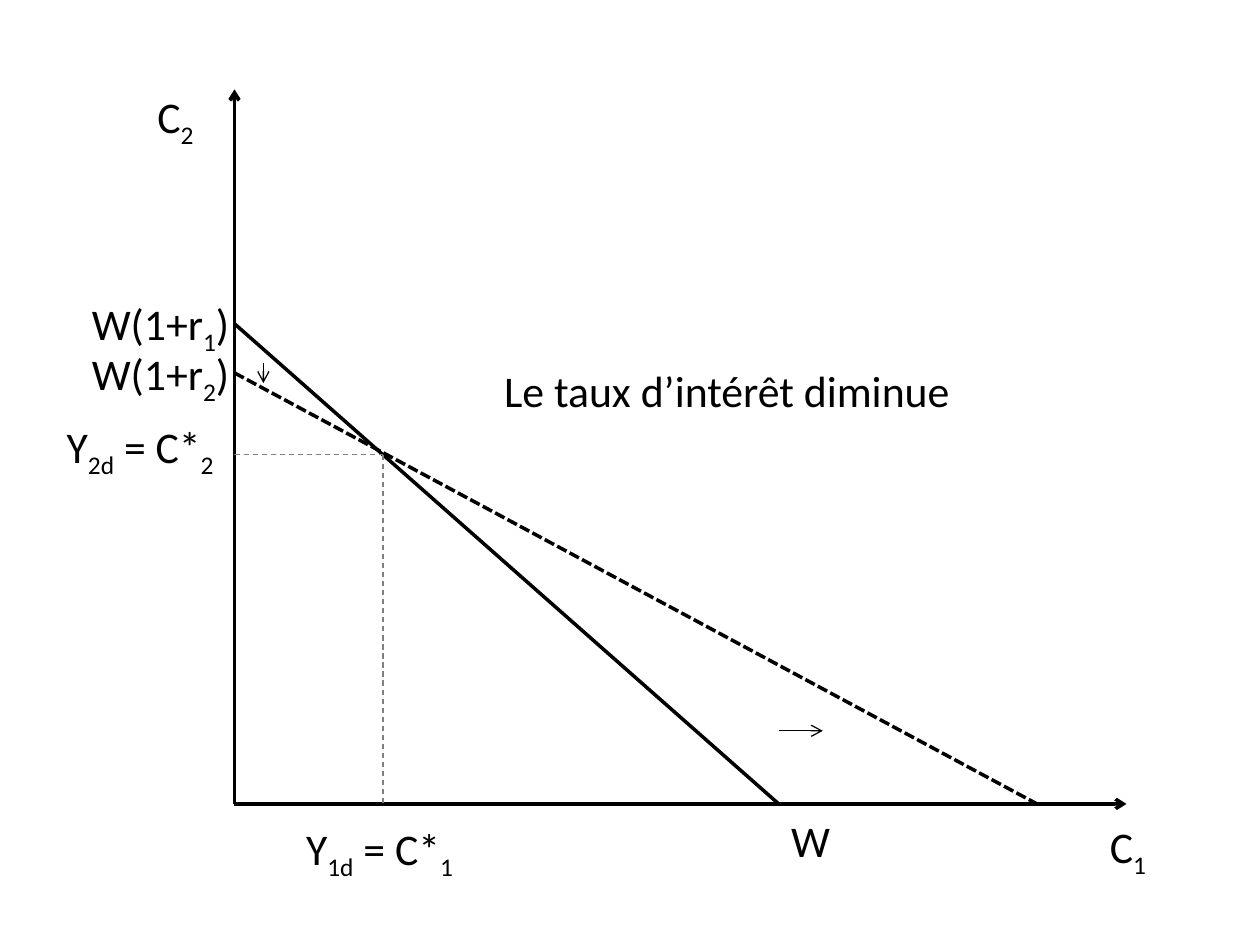
from pptx import Presentation
from pptx.dml.color import RGBColor
from pptx.enum.dml import MSO_LINE
from pptx.enum.shapes import MSO_CONNECTOR
from pptx.enum.text import MSO_ANCHOR, MSO_AUTO_SIZE, PP_ALIGN
from pptx.oxml.ns import qn
from pptx.util import Pt
from lxml.etree import SubElement


def color(value):
    return RGBColor.from_string(value)


def write(box, place, parts):
    """Place a one-line label; every second part is a subscript."""
    box.left, box.top, box.width, box.height = [Pt(n) for n in place]
    frame = box.text_frame
    frame.word_wrap = False
    frame.auto_size = MSO_AUTO_SIZE.SHAPE_TO_FIT_TEXT
    frame.vertical_anchor = MSO_ANCHOR.TOP
    para = frame.paragraphs[0]
    para.alignment = PP_ALIGN.LEFT
    para.font.name = "Calibri"
    para.font.size = Pt(25)
    para.font.color.rgb = color("000000")
    for i, part in enumerate(parts):
        run = para.add_run()
        run.text = part
        if i % 2:
            run._r.get_or_add_rPr().set("baseline", "-25000")


deck = Presentation()
deck.slide_width, deck.slide_height = Pt(720), Pt(540)
slide = deck.slides.add_slide(deck.slide_layouts[5])
shapes = slide.shapes

# Axes, budget lines and the point where they cross
left, base = 134, 459.4
cross_x, cross_y = 218.9, 259.9
wealth = 445

black, grey = "000000", "808080"
lines = [
    # x1, y1, x2, y2, color, width, dash, arrow
    (left, base, left, 51.1, black, 2, None, True),
    (left, base, 643.7, base, black, 2, None, True),
    (left, 185, wealth, base, black, 2, None, False),
    (left, 213.1, 592.6, base, black, 2, MSO_LINE.SQUARE_DOT, False),
    (150.5, 207.4, 150.5, 218.9, black, 0.75, None, True),
    (wealth, 417.6, 470.2, 417.6, black, 0.75, None, True),
    (left, cross_y, cross_x, cross_y, grey, 0.75, MSO_LINE.DASH, False),
    (cross_x, cross_y, cross_x, base, grey, 0.75, MSO_LINE.DASH, False),
]
for x1, y1, x2, y2, ink, width, dash, arrow in lines:
    line = shapes.add_connector(
        MSO_CONNECTOR.STRAIGHT, Pt(x1), Pt(y1), Pt(x2), Pt(y2))
    line.line.color.rgb = color(ink)
    line.line.width = Pt(width)
    if dash:
        line.line.dash_style = dash
    if arrow:
        SubElement(line.line._get_or_add_ln(), qn("a:tailEnd"), type="arrow")
    SubElement(line._element.spPr, qn("a:effectLst"))

# Labels
high = 37.4
labels = [
    # left, top, width, parts
    (82.8, 47.5, 36.7, ["C", "2"]),
    (627.1, 465.1, 36.7, ["C", "1"]),
    (wealth, 461.5, 36.7, ["W"]),
    (45.4, 166.3, 95, ["W(1+r", "1", ")"]),
    (45.4, 194.4, 95, ["W(1+r", "2", ")"]),
    (31, 236.2, 103, ["Y", "2d", " = C*", "2"]),
    (167.8, 465.8, 103, ["Y", "1d", " = C*", "1"]),
]
for x, y, wide, parts in labels:
    box = shapes.add_textbox(0, 0, 0, 0)
    write(box, (x, y, wide, high), parts)

write(shapes.title, (280.8, 204.5, 272.2, high), ["Le taux d’intérêt diminue"])

deck.save("out.pptx")
